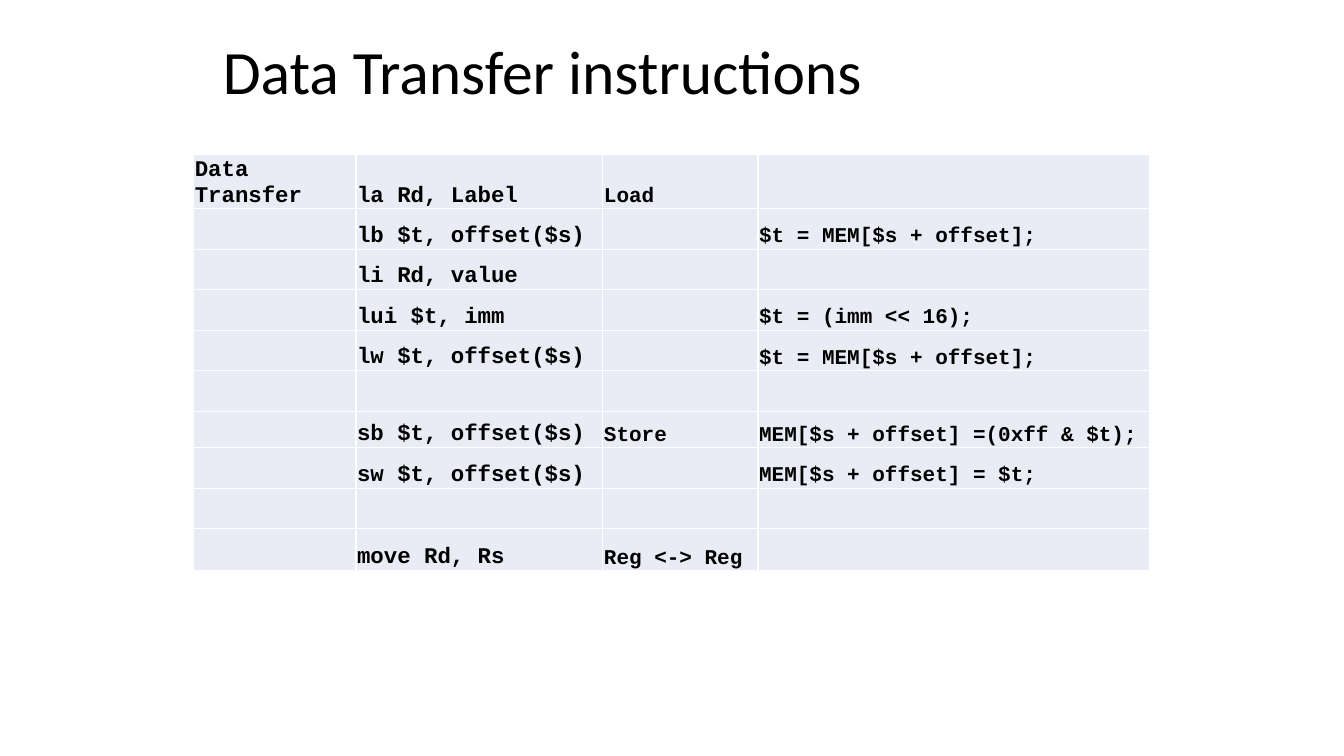
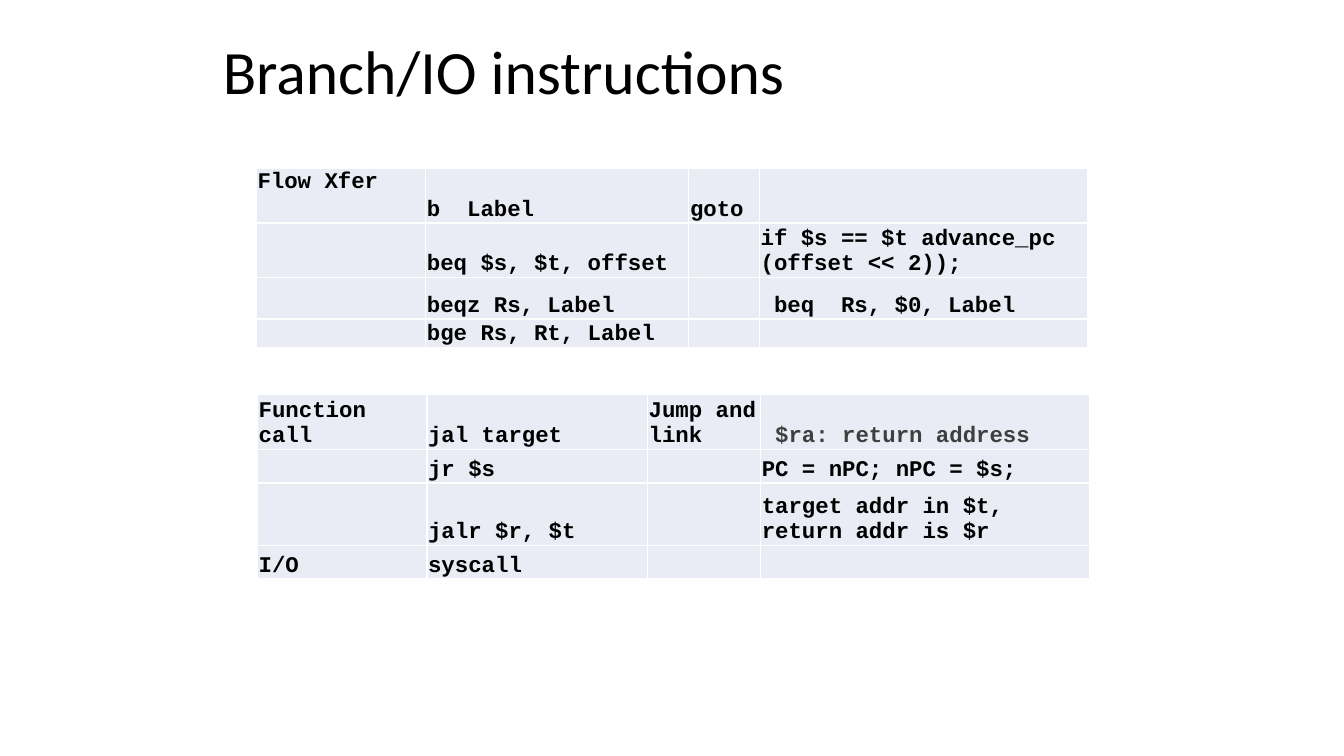
import pptx
import pptx.util
import pptx.dml.color
import pptx.enum.text
import pptx.oxml.ns
from lxml import etree

Cm = pptx.util.Cm
Pt = pptx.util.Pt
Align = pptx.enum.text.PP_ALIGN
Anchor = pptx.enum.text.MSO_ANCHOR

BLACK = pptx.dml.color.RGBColor(0x00, 0x00, 0x00)
GREY = pptx.dml.color.RGBColor(0x3F, 0x3F, 0x3F)
PALE = pptx.dml.color.RGBColor(0xE9, 0xEB, 0xF5)


def write(frame, text, size=16, face="Courier New", bold=True, color=BLACK):
    para = frame.paragraphs[0]
    para.alignment = Align.LEFT
    if not text:
        # An empty cell still needs a small line so its row can stay low
        end = etree.SubElement(para._p, pptx.oxml.ns.qn("a:endParaRPr"))
        end.set("sz", str(size * 100))
        return
    run = para.add_run()
    run.text = text
    run.font.size = Pt(size)
    run.font.name = face
    run.font.bold = bold
    run.font.color.rgb = color


def draw(slide, left, top, widths, heights, sizes, rows):
    frame = slide.shapes.add_table(len(heights), len(widths), Cm(left), Cm(top),
                                   Cm(sum(widths)), Cm(sum(heights)))
    table = frame.table
    table.first_row = False
    table.horz_banding = False
    for col, width in zip(table.columns, widths):
        col.width = Cm(width)
    for row, height, texts in zip(table.rows, heights, rows):
        row.height = Cm(height)
        for cell, text, size in zip(row.cells, texts, sizes):
            cell.fill.solid()
            cell.fill.fore_color.rgb = PALE
            cell.margin_left = cell.margin_right = cell.margin_top = Cm(0.03)
            cell.margin_bottom = 0
            cell.vertical_anchor = Anchor.TOP if text == "Flow Xfer" else Anchor.BOTTOM
            write(cell.text_frame, text, size=size,
                  color=GREY if "$ra" in text else BLACK)


# Page and shared title place
deck = pptx.Presentation()
deck.slide_width = Cm(33.87)
deck.slide_height = Cm(19.05)
layout = deck.slide_layouts[5]
head = layout.placeholders[0]
head.left, head.top, head.width, head.height = Cm(5.36), Cm(0.69), Cm(24.2), Cm(2.16)

# Tables of each slide: left, top, widths, heights, text sizes, rows
moves = (4.88, 3.89, (4.09, 6.22, 3.91, 9.88),
         [1.37] + [1.02] * 5 + [0.92] + [1.02] * 2 + [1.06], (16, 16, 15, 15), (
    ("Data Transfer", "la Rd, Label", "Load", ""),
    ("", "lb $t, offset($s)", "", "$t = MEM[$s + offset];"),
    ("", "li Rd, value", "", ""),
    ("", "lui $t, imm", "", "$t = (imm << 16);"),
    ("", "lw $t, offset($s)", "", "$t = MEM[$s + offset];"),
    ("", "", "", ""),
    ("", "sb $t, offset($s)", "Store", "MEM[$s + offset] =(0xff & $t);"),
    ("", "sw $t, offset($s)", "", "MEM[$s + offset] = $t;"),
    ("", "", "", ""),
    ("", "move Rd, Rs", "Reg <-> Reg", ""),
))
jumps = (6.46, 4.25, (4.27, 6.63, 1.78, 8.28), (1.37, 1.37, 1.05, 0.71), (16,) * 4, (
    ("Flow Xfer", "b  Label", "goto", ""),
    ("", "beq $s, $t, offset", "", "if $s == $t advance_pc (offset << 2));"),
    ("", "beqz Rs, Label", "", " beq  Rs, $0, Label"),
    ("", "bge Rs, Rt, Label", "", ""),
))
calls = (6.49, 9.95, (4.27, 5.56, 2.85, 8.28), (1.37, 0.85, 1.57, 0.85), (16,) * 4, (
    ("Function call", "jal target", "Jump and link", " $ra: return address"),
    ("", "jr $s", "", "PC = nPC; nPC = $s;"),
    ("", "jalr $r, $t", "", "target addr in $t, return addr is $r"),
    ("I/O", "syscall", "", ""),
))

# Slides
for name, tables in (("Data Transfer instructions", (moves,)),
                     ("Branch/IO instructions", (jumps, calls))):
    slide = deck.slides.add_slide(layout)
    title = slide.shapes.title.text_frame
    title.vertical_anchor = Anchor.MIDDLE
    write(title, name, size=44, face="Calibri", bold=False)
    for table in tables:
        draw(slide, *table)

deck.save("out.pptx")
